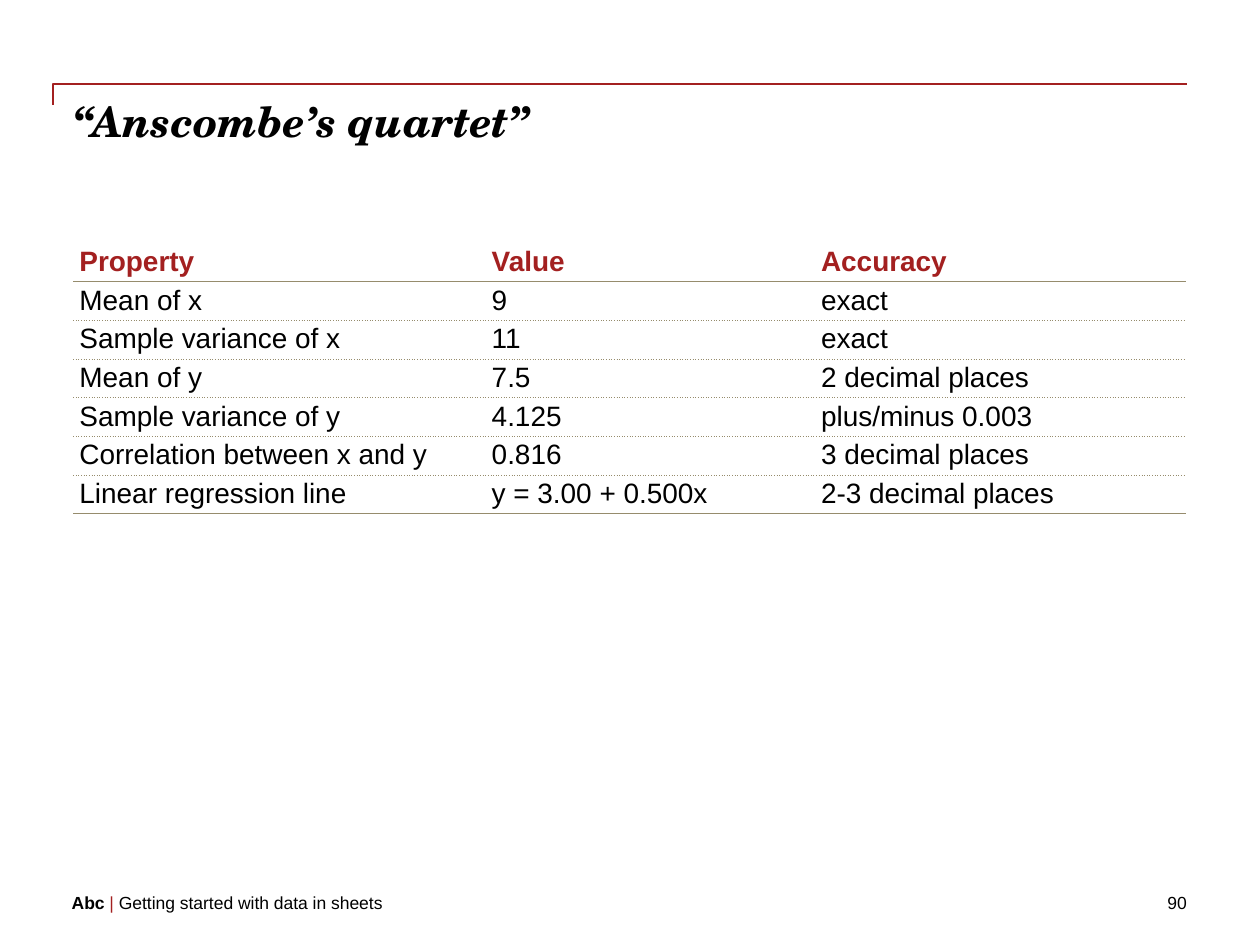
from lxml import etree
from pptx import Presentation
from pptx import util as u
from pptx.dml import color
from pptx.enum import text
from pptx.oxml import ns

COLORS = {"black": "000000", "red": "A32020", "rule": "968C6D", "white": "FFFFFF"}
ROWS = [
    ("Property", "Value", "Accuracy"),
    ("Mean of x", "9", "exact"),
    ("Sample variance of x", "11", "exact"),
    ("Mean of y", "7.5", "2 decimal places"),
    ("Sample variance of y", "4.125", "plus/minus 0.003"),
    ("Correlation between x and y", "0.816", "3 decimal places"),
    ("Linear regression line", "y = 3.00 + 0.500x", "2-3 decimal places"),
]
COLUMN_WIDTHS = (235.6, 188.2, 212)
ROW_HEIGHT = 22.1


def rgb(name):
    return color.RGBColor.from_string(COLORS[name])


def add_text(paragraph, content, size=10, font="Arial", fill="black",
             bold=False, italic=False, align=text.PP_ALIGN.LEFT):
    paragraph.alignment = align
    run = paragraph.add_run()
    run.text = content
    run.font.size = u.Pt(size)
    run.font.name = font
    run.font.bold = bold
    run.font.italic = italic
    run.font.color.rgb = rgb(fill)


def add_border(properties, side, dash):
    line = etree.SubElement(properties, ns.qn(f"a:ln{side}"), w=str(u.Pt(0.75)))
    if dash is None:
        etree.SubElement(line, ns.qn("a:noFill"))
        return
    solid = etree.SubElement(line, ns.qn("a:solidFill"))
    etree.SubElement(solid, ns.qn("a:srgbClr"), val=COLORS["rule"])
    etree.SubElement(line, ns.qn("a:prstDash"), val=dash)


class SlideBuilder:
    def __init__(self, presentation):
        self.slide = presentation.slides.add_slide(presentation.slide_layouts[5])

    def place(self, shape, left, top, width, height):
        shape.left, shape.top = u.Pt(left), u.Pt(top)
        shape.width, shape.height = u.Pt(width), u.Pt(height)

    def clear_frame(self, shape):
        frame = shape.text_frame
        frame.margin_left = frame.margin_right = 0
        frame.margin_top = frame.margin_bottom = 0
        frame.word_wrap = True
        frame.auto_size = text.MSO_AUTO_SIZE.NONE
        frame.vertical_anchor = text.MSO_ANCHOR.TOP
        return frame.paragraphs[0]

    def title(self, content, *box):
        shape = self.slide.shapes.title
        self.place(shape, *box)
        add_text(self.clear_frame(shape), content, size=24,
                 font="TeX Gyre Schola", bold=True, italic=True)

    def textbox(self, runs, *box):
        shape = self.slide.shapes.add_textbox(*(u.Pt(value) for value in box))
        paragraph = self.clear_frame(shape)
        for content, style in runs:
            add_text(paragraph, content, **style)

    def outline(self, points):
        start, *others = [(u.Pt(x), u.Pt(y)) for x, y in points]
        builder = self.slide.shapes.build_freeform(*start)
        builder.add_line_segments(others, close=False)
        shape = builder.convert_to_shape()
        shape.shadow.inherit = False
        shape.fill.background()
        shape.line.color.rgb = rgb("red")
        shape.line.width = u.Pt(1)

    def table(self, rows, widths, left, top):
        table = self.slide.shapes.add_table(
            len(rows), len(widths), u.Pt(left), u.Pt(top),
            u.Pt(sum(widths)), u.Pt(ROW_HEIGHT * len(rows))).table
        table.first_row = table.horz_banding = False
        for column, width in zip(table.columns, widths):
            column.width = u.Pt(width)
        dashes = [None, "solid"] + ["sysDot"] * (len(rows) - 2) + ["solid"]
        for index, values in enumerate(rows):
            table.rows[index].height = u.Pt(ROW_HEIGHT)
            for column, value in enumerate(values):
                self.cell(table.cell(index, column), value, index == 0,
                          dashes[index], dashes[index + 1])

    def cell(self, cell, value, header, top_dash, bottom_dash):
        cell.margin_left = cell.margin_right = u.Pt(3.6)
        cell.margin_top = cell.margin_bottom = u.Pt(1.8)
        properties = cell._tc.get_or_add_tcPr()
        for side, dash in zip("LRTB", (None, None, top_dash, bottom_dash)):
            add_border(properties, side, dash)
        cell.fill.solid()
        cell.fill.fore_color.rgb = rgb("white")
        add_text(cell.text_frame.paragraphs[0], value, size=16,
                 fill="red" if header else "black", bold=header)


def main():
    presentation = Presentation()
    presentation.slide_width, presentation.slide_height = u.Pt(720), u.Pt(540)
    builder = SlideBuilder(presentation)
    builder.outline([(30.2, 59.8), (30.2, 48.2), (678.2, 48.2)])
    builder.title("“Anscombe’s quartet”", 41.8, 54.7, 635.8, 28.8)
    builder.table(ROWS, COLUMN_WIDTHS, 41.8, 139)
    builder.textbox([("Abc ", {"bold": True}), ("| ", {"fill": "red"}),
                     ("Getting started with data in sheets", {})],
                    41, 509.8, 517, 12.2)
    builder.textbox([("90", {"align": text.PP_ALIGN.RIGHT})],
                    558, 509.8, 120.2, 12.2)
    presentation.save("out.pptx")


if __name__ == "__main__":
    main()
